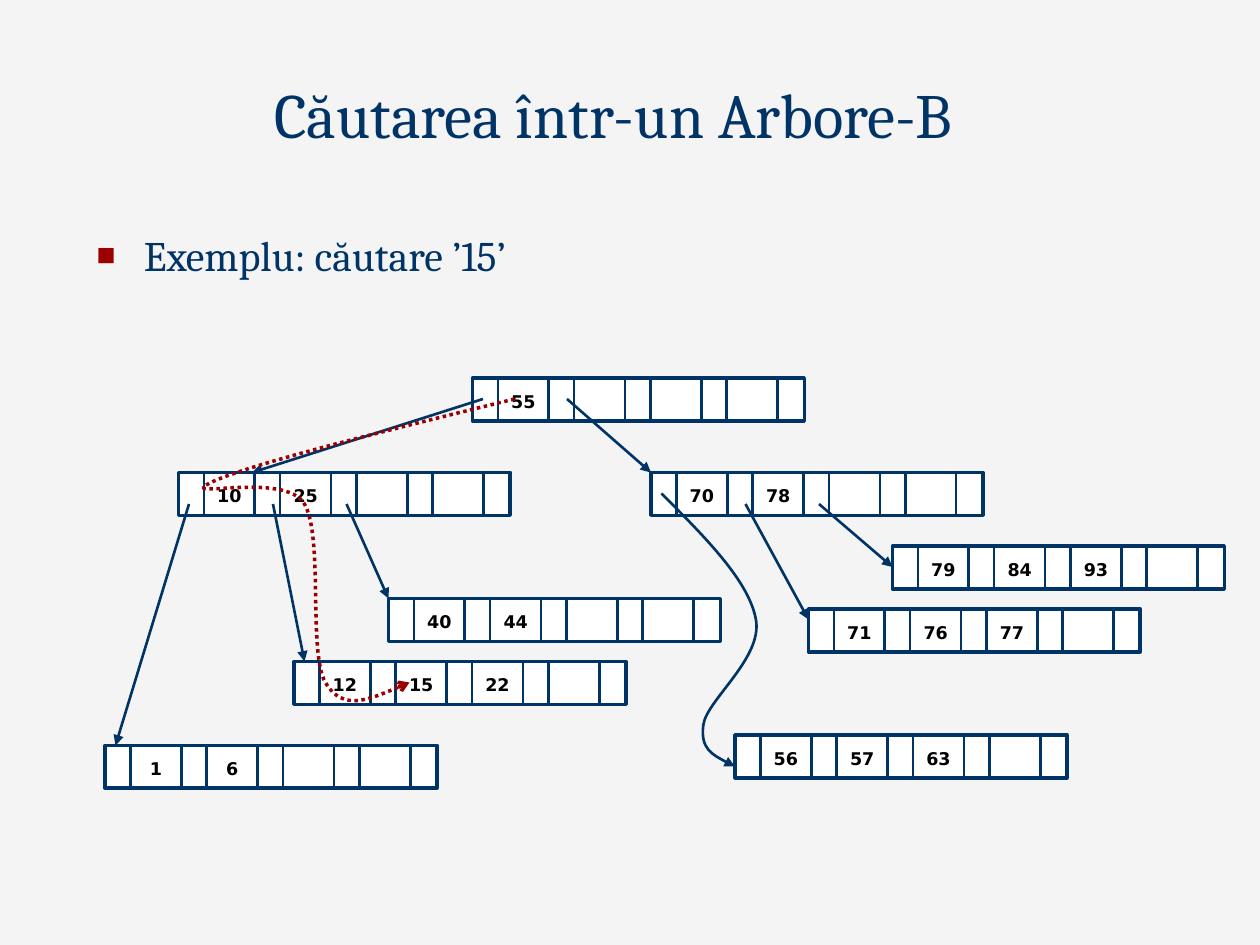
from lxml import etree
from pptx import Presentation
from pptx.dml.color import RGBColor
from pptx.enum.dml import MSO_LINE
from pptx.enum.shapes import MSO_CONNECTOR, MSO_SHAPE
from pptx.enum.text import MSO_ANCHOR, MSO_AUTO_SIZE, PP_ALIGN
from pptx.oxml.ns import qn
from pptx.util import Pt

STRAIGHT, RECT = MSO_CONNECTOR.STRAIGHT, MSO_SHAPE.RECTANGLE
DOTTED = MSO_LINE.ROUND_DOT
CENTER, LEFT = PP_ALIGN.CENTER, PP_ALIGN.LEFT
TOP, MIDDLE, BOTTOM = MSO_ANCHOR.TOP, MSO_ANCHOR.MIDDLE, MSO_ANCHOR.BOTTOM

COLORS = {"background": "F4F4F4", "navy": "003366", "red": "9A0000",
          "white": "FFFFFF", "black": "000000"}
TITLE = "Căutarea într-un Arbore-B"
EXAMPLE = "Exemplu: căutare ’15’"

# Tree nodes: left, top, keys
NODES = [
    (372, 270, [70, 78]),
    (270, 216, [55]),
    (102, 270, [10, 25]),
    (222, 342, [40, 44]),
    (168, 378, [12, 15, 22]),
    (510, 312, [79, 84, 93]),
    (462, 348, [71, 76, 77]),
    (420, 420, [56, 57, 63]),
    (60, 426, [1, 6]),
]
KEY_SLOTS = 4
NODE_W, NODE_H = 189.6, 24.5
POINTER_W, KEY_W = 14.5, 29.1
KEY_TOP, KEY_H = 3.5, 19.4
SEPARATOR_DROP = 0.7

# Child pointers: start and end points
POINTERS = [
    ((276, 228), (144, 270)),
    ((324, 228), (372, 270)),
    ((108, 288), (66, 426)),
    ((156, 288), (174, 378)),
    ((198, 288), (222, 342)),
    ((426, 288), (462, 354)),
    ((468, 288), (510, 324)),
]
# Curves: start point, then three points for each Bezier piece
POINTER_TO_56 = [(378, 282), (403, 307), (428, 332), (432, 354),
                 (436, 376), (404, 400), (402, 414), (400, 428), (410, 433), (420, 438)]
SEARCH_ROUTE = [(294, 228), (217, 247), (140, 266), (120, 276),
                (100, 286), (163, 269), (174, 288), (185, 307), (176, 373), (186, 390),
                (196, 407), (215, 398), (234, 390)]


def rgb(name):
    """Return a palette colour."""
    return RGBColor.from_string(COLORS[name])


def write(shape, text, font, size, color, align, anchor, bold=False):
    """Put one formatted paragraph into a shape and return it."""
    frame = shape.text_frame
    frame.text = text
    frame.auto_size = MSO_AUTO_SIZE.NONE
    frame.vertical_anchor = anchor
    paragraph = frame.paragraphs[0]
    paragraph.alignment = align
    paragraph.space_before = Pt(0)
    run_font = paragraph.runs[0].font
    run_font.name, run_font.size, run_font.bold = font, Pt(size), bold
    run_font.color.rgb = rgb(color)
    return paragraph


def place(shape, left, top, width, height):
    """Move and size a shape, in points."""
    shape.left, shape.top = Pt(left), Pt(top)
    shape.width, shape.height = Pt(width), Pt(height)


def style_line(shape, color, width, head=None, dash=None):
    """Set an outline, with an optional arrowhead and dash."""
    shape.line.color.rgb = rgb(color)
    shape.line.width = Pt(width)
    if dash:
        shape.line.dash_style = dash
    if head:
        etree.SubElement(shape.line._get_or_add_ln(), qn("a:tailEnd"), type=head)


def add_line(shapes, start, end, head=None):
    """Draw a straight navy line."""
    line = shapes.add_connector(STRAIGHT, *(Pt(v) for v in (*start, *end)))
    style_line(line, "navy", 1.5, head)
    etree.SubElement(line._element.spPr, qn("a:effectLst"))


def add_curve(shapes, points, color, width, head, dash=None):
    """Draw an open curve from Bezier points."""
    scaled = [(Pt(x), Pt(y)) for x, y in points]
    builder = shapes.build_freeform(*scaled[0])
    builder.add_line_segments(scaled[1:], close=False)
    curve = builder.convert_to_shape()
    curve.shadow.inherit = False
    curve.fill.background()
    style_line(curve, color, width, head, dash)
    outline = curve._element.find(".//" + qn("a:path"))
    segments = outline.findall(qn("a:lnTo"))
    for first in range(0, len(segments), 3):
        bezier = etree.SubElement(outline, qn("a:cubicBezTo"))
        for segment in segments[first:first + 3]:
            bezier.append(segment[0])
            outline.remove(segment)


def add_node(shapes, left, top, keys):
    """Draw a tree node with its pointer and key cells."""
    node = shapes.add_group_shape().shapes
    box = node.add_shape(RECT, Pt(left), Pt(top), Pt(NODE_W), Pt(NODE_H))
    box.shadow.inherit = False
    box.fill.solid()
    box.fill.fore_color.rgb = rgb("white")
    style_line(box, "navy", 2)
    line_top = top + SEPARATOR_DROP
    for slot in range(KEY_SLOTS):
        key_left = left + POINTER_W + slot * (POINTER_W + KEY_W)
        for x in (key_left, key_left + KEY_W):
            add_line(node, (x, line_top), (x, line_top + NODE_H))
        if slot < len(keys):
            label = node.add_textbox(Pt(key_left), Pt(top + KEY_TOP), Pt(KEY_W), Pt(KEY_H))
            label.text_frame.word_wrap = False
            write(label, str(keys[slot]), "DejaVu Sans", 10, "black", CENTER, MIDDLE, True)


prs = Presentation()
prs.slide_width, prs.slide_height = Pt(720), Pt(540)
slide = prs.slides.add_slide(prs.slide_layouts[1])
slide.background.fill.solid()
slide.background.fill.fore_color.rgb = rgb("background")

title, body = slide.placeholders
place(title, 48, 39, 605, 51)
write(title, TITLE, "Cambria", 36, "navy", CENTER, BOTTOM)

place(body, 48, 90, 666, 156)
example = write(body, EXAMPLE, "Cambria", 24, "navy", LEFT, TOP)
body.text_frame.margin_top = Pt(41)
example_format = example._p.get_or_add_pPr()
example_format.set("marL", str(Pt(27)))
example_format.set("indent", str(-Pt(27)))
bullet_color = etree.SubElement(example_format, qn("a:buClr"))
etree.SubElement(bullet_color, qn("a:srgbClr"), val=COLORS["red"])
etree.SubElement(example_format, qn("a:buSzPct"), val="75000")
etree.SubElement(example_format, qn("a:buChar"), char="■")

for left, top, keys in NODES:
    add_node(slide.shapes, left, top, keys)
for start, end in POINTERS:
    add_line(slide.shapes, start, end, "triangle")
add_curve(slide.shapes, POINTER_TO_56, "navy", 1.5, "triangle")
add_curve(slide.shapes, SEARCH_ROUTE, "red", 2, "arrow", DOTTED)

prs.save("out.pptx")
